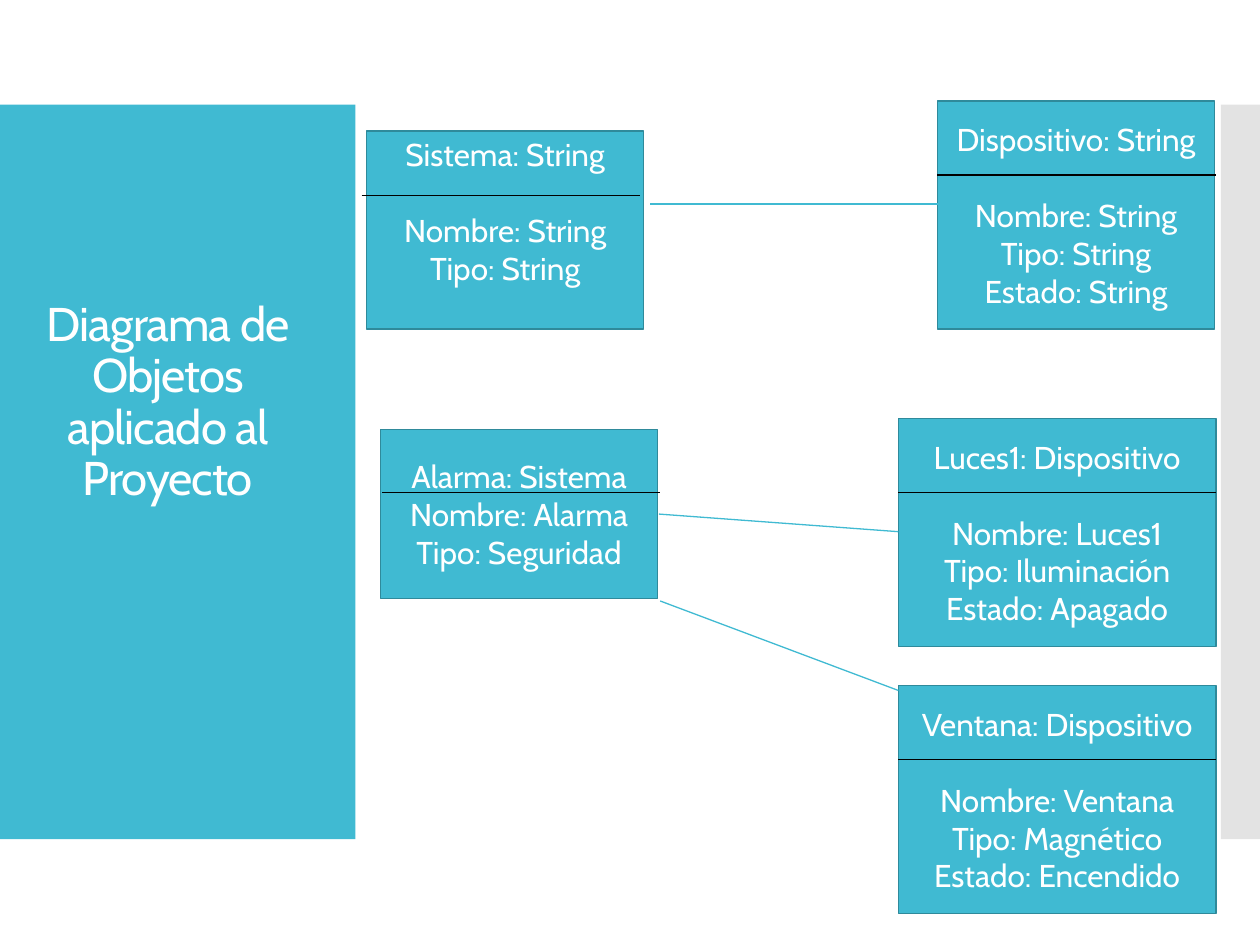
from typing import NamedTuple

from lxml import etree
from pptx import Presentation
from pptx.dml.color import RGBColor
from pptx.enum import shapes, text
from pptx.oxml import ns
from pptx.util import Inches, Pt

FONT = "Cabin"
TEAL, EDGE, WHITE, BLACK, GRAY = "40BAD2", "2F8A9B", "FFFFFF", "000000", "C8C8C8"
TEXT_LINE = 21.8  # height in points of one line of 18 point text


class ObjectBox(NamedTuple):
    left: float
    top: float
    width: float
    height: float
    heading: str
    attributes: list[str]
    gap: float = TEXT_LINE  # points between heading and attributes
    bottom_inset: float = 0.05


class Line(NamedTuple):
    x1: float
    y1: float
    x2: float
    y2: float
    color: str


BOXES = [
    ObjectBox(2.91, 1.04, 2.2, 1.57, "Sistema: String",
              ["Nombre: String", "Tipo: String"], bottom_inset=0.35),
    ObjectBox(7.44, 0.8, 2.2, 1.81, "Dispositivo: String",
              ["Nombre: String", "Tipo: String", "Estado: String"]),
    ObjectBox(3.02, 3.41, 2.2, 1.34, "Alarma: Sistema",
              ["Nombre: Alarma", "Tipo: Seguridad"], gap=0),
    ObjectBox(7.13, 3.32, 2.52, 1.81, "Luces1: Dispositivo",
              ["Nombre: Luces1", "Tipo: Iluminación", "Estado: Apagado"]),
    ObjectBox(7.13, 5.44, 2.52, 1.81, "Ventana: Dispositivo",
              ["Nombre: Ventana", "Tipo: Magnético", "Estado: Encendido"]),
]

LINKS = [
    Line(5.16, 1.62, 7.52, 1.62, TEAL),
    Line(5.23, 4.08, 7.13, 4.22, TEAL),
    Line(5.24, 4.77, 7.13, 5.48, TEAL),
]

DIVIDERS = [
    Line(x1, y, x2, y, BLACK)
    for x1, x2, y in [(2.87, 5.08, 1.55), (7.44, 9.65, 1.39), (3.03, 5.24, 3.91),
                      (7.13, 9.65, 3.91), (7.13, 9.65, 6.03)]
]


def rgb(color: str) -> RGBColor:
    return RGBColor.from_string(color)


def add_rectangle(page, left: float, top: float, width: float, height: float, color: str):
    box = page.shapes.add_shape(shapes.MSO_SHAPE.RECTANGLE, Inches(left), Inches(top),
                                Inches(width), Inches(height))
    box.shadow.inherit = False
    box.fill.solid()
    box.fill.fore_color.rgb = rgb(color)
    box.line.fill.background()
    return box


def style_paragraph(para, size: float) -> None:
    para.alignment = text.PP_ALIGN.CENTER
    para.font.name = FONT
    para.font.size = Pt(size)
    para.font.color.rgb = rgb(WHITE)


def add_object(page, item: ObjectBox) -> None:
    box = add_rectangle(page, item.left, item.top, item.width, item.height, TEAL)
    box.line.color.rgb = rgb(EDGE)
    box.line.width = Pt(0.85)
    frame = box.text_frame
    frame.word_wrap = True
    frame.vertical_anchor = text.MSO_ANCHOR.MIDDLE
    frame.margin_bottom = Inches(item.bottom_inset)
    frame.text = "\n".join([item.heading, *item.attributes])
    for para in frame.paragraphs:
        style_paragraph(para, 18)
    frame.paragraphs[1].space_before = Pt(item.gap)


def add_line(page, line: Line) -> None:
    connector = page.shapes.add_connector(
        shapes.MSO_CONNECTOR.STRAIGHT, Inches(line.x1), Inches(line.y1),
        Inches(line.x2), Inches(line.y2))
    connector.line.color.rgb = rgb(line.color)
    connector.line.width = Pt(0.75)
    etree.SubElement(connector._element.spPr, ns.qn("a:effectLst"))


def add_side_panels(page) -> None:
    add_rectangle(page, 0, 0.83, 2.82, 5.83, TEAL)
    strip = add_rectangle(page, 9.69, 0.83, 0.31, 5.83, GRAY)
    fill_color = strip._element.spPr.find(".//" + ns.qn("a:srgbClr"))
    etree.SubElement(fill_color, ns.qn("a:alpha"), val="50000")


def add_title(page) -> None:
    box = page.shapes.add_textbox(Inches(0.02), Inches(2.73), Inches(2.62), Inches(0.94))
    frame = box.text_frame
    frame.word_wrap = True
    frame.vertical_anchor = text.MSO_ANCHOR.MIDDLE
    para = frame.paragraphs[0]
    para.text = "Diagrama de Objetos aplicado al Proyecto"
    para.line_spacing = 0.9
    style_paragraph(para, 27)
    para._p.get_or_add_pPr().get_or_add_defRPr().set("spc", "-60")


def main() -> None:
    deck = Presentation()
    deck.slide_width, deck.slide_height = Inches(10), Inches(7.5)
    page = deck.slides.add_slide(deck.slide_layouts[6])
    add_side_panels(page)
    add_title(page)
    for item in BOXES:
        add_object(page, item)
    for line in LINKS + DIVIDERS:
        add_line(page, line)
    deck.save("out.pptx")


if __name__ == "__main__":
    main()
